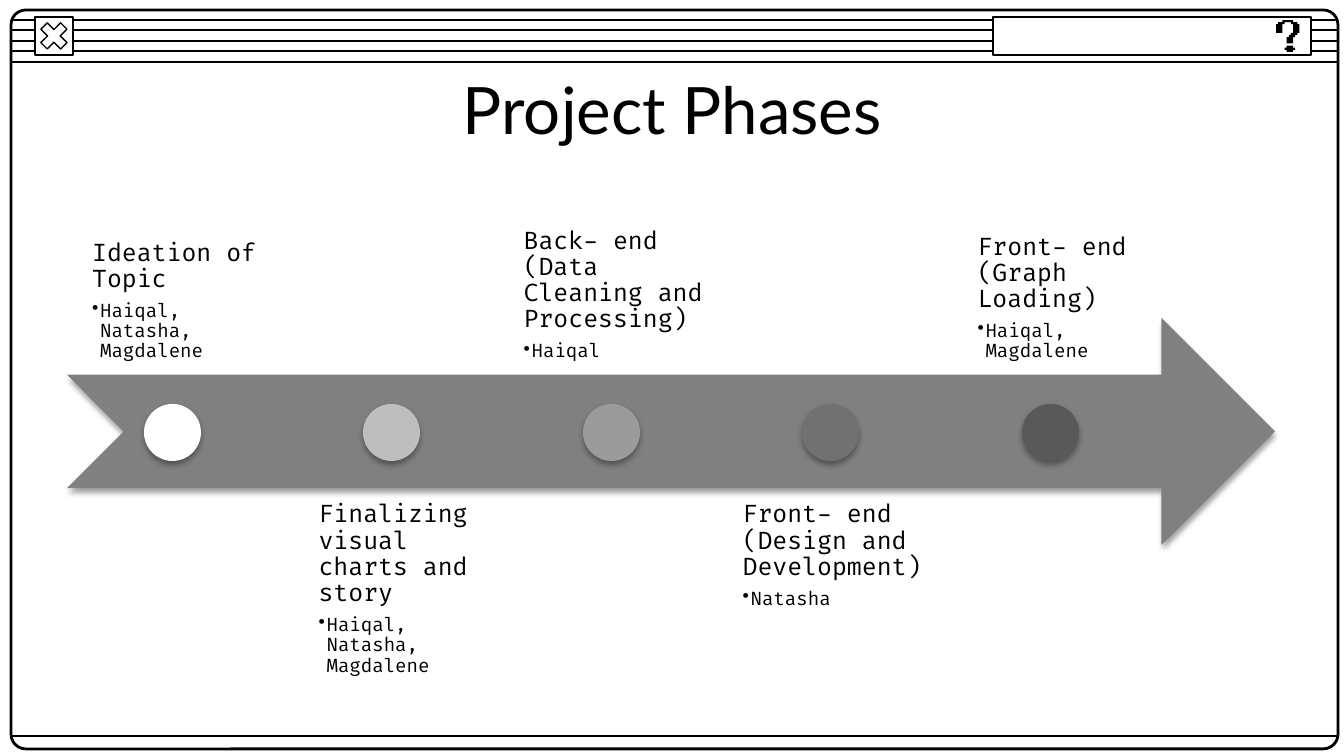
import pptx
import pptx.dml.color
import pptx.enum.shapes
import pptx.enum.text
import pptx.oxml
import pptx.oxml.ns
import pptx.util
from lxml import etree

RGB = pptx.dml.color.RGBColor
SHAPE = pptx.enum.shapes.MSO_SHAPE
ANCHOR = pptx.enum.text.MSO_ANCHOR
Pt = pptx.util.Pt
qn = pptx.oxml.ns.qn

BLACK = RGB(0x00, 0x00, 0x00)
WHITE = RGB(0xFF, 0xFF, 0xFF)
ARROW_GRAY = RGB(0x80, 0x80, 0x80)

TITLE = "Project Phases"
PHASES = [
    ("Ideation of Topic", "Haiqal, Natasha, Magdalene", WHITE),
    ("Finalizing visual charts and story", "Haiqal, Natasha, Magdalene", RGB(0xBE, 0xBE, 0xBE)),
    ("Back- end (Data Cleaning and Processing)", "Haiqal", RGB(0x9B, 0x9B, 0x9B)),
    ("Front- end (Design and Development)", "Natasha", RGB(0x71, 0x71, 0x71)),
    ("Front- end (Graph Loading)", "Haiqal, Magdalene", RGB(0x59, 0x59, 0x59)),
]
QUESTION_DOT = [(5, 12), (5, 13), (4, 13), (4, 14), (5, 14), (5, 15),
                (8, 15), (8, 14), (9, 14), (9, 13), (8, 13), (8, 12)]
QUESTION_HOOK = [(3, 0), (3, 1), (1, 1), (1, 2), (0, 2), (0, 6), (3, 6), (3, 2), (4, 2),
                 (4, 1), (7, 1), (7, 2), (8, 2), (8, 6), (7, 6), (7, 7), (6, 7), (6, 8),
                 (5, 8), (5, 11), (8, 11), (8, 8), (9, 8), (9, 7), (10, 7), (10, 6),
                 (11, 6), (11, 2), (10, 2), (10, 1), (8, 1), (8, 0)]
QUESTION_CELL = 2.13

WINDOW_LEFT, WINDOW_TOP, WINDOW_WIDTH, WINDOW_HEIGHT = 11, 10, 1327, 739
BAR_TOP, BAR_HEIGHT, BAR_LINES = 20, 42, 5
BAND_HEIGHT = 227
LABEL_ABOVE, LABEL_BELOW, LABEL_WIDTH = 148, 489, 210
LABEL_LEFT, DOT_LEFT, PHASE_SPAN = 69, 144, 878


def px(value):
    return pptx.util.Emu(round(value * 914400 / 134.4))


prs = pptx.Presentation()
prs.slide_width, prs.slide_height = px(1344), px(756)
slide = prs.slides.add_slide(prs.slide_layouts[6])
shapes = slide.shapes


def paint(shape, fill=None, line_width=None):
    shape.shadow.inherit = False
    if fill is None:
        shape.fill.background()
    else:
        shape.fill.solid()
        shape.fill.fore_color.rgb = fill
    if line_width is None:
        shape.line.fill.background()
    else:
        shape.line.color.rgb = BLACK
        shape.line.width = Pt(line_width)
    return shape


def add_shape(kind, left, top, width, height, fill=None, line_width=None):
    return paint(shapes.add_shape(kind, px(left), px(top), px(width), px(height)),
                 fill, line_width)


def add_rule(y):
    rule = shapes.add_connector(pptx.enum.shapes.MSO_CONNECTOR.STRAIGHT, px(WINDOW_LEFT),
                                px(y), px(WINDOW_LEFT + WINDOW_WIDTH), px(y))
    rule.line.color.rgb = BLACK
    rule.line.width = Pt(0.75)
    etree.SubElement(rule._element.spPr, qn("a:effectLst"))


def cast_shadow(shape, opacity, distance):
    effects = shape._element.spPr.find(qn("a:effectLst"))
    shadow = etree.SubElement(effects, qn("a:outerShdw"), blurRad=str(Pt(3.1)),
                              dist=str(Pt(distance)), dir="5400000", rotWithShape="0")
    color = etree.SubElement(shadow, qn("a:srgbClr"), val="000000")
    etree.SubElement(color, qn("a:alpha"), val=str(opacity * 1000))


def add_text(left, top, width, height, anchor):
    frame = shapes.add_textbox(px(left), px(top), px(width), px(height)).text_frame
    frame.word_wrap = True
    frame.vertical_anchor = anchor
    frame.margin_left = frame.margin_right = frame.margin_top = frame.margin_bottom = px(13)
    return frame


def write(paragraph, text, font, size):
    paragraph.text = text
    paragraph.font.name = font
    paragraph.font.size = Pt(size)
    paragraph.font.color.rgb = BLACK


def add_bullet(paragraph):
    paragraph.level = 1
    props = paragraph._p.get_or_add_pPr()
    props.set("marL", str(px(8)))
    props.set("indent", str(-px(8)))
    bullet = etree.Element(qn("a:buChar"), char="•")
    props.find(qn("a:defRPr")).addprevious(bullet)


def add_label(left, top, anchor, phase, people):
    frame = add_text(left, top, LABEL_WIDTH, BAND_HEIGHT, anchor)
    frame._txBody.bodyPr.set("anchorCtr", "1")
    heading, team = frame.paragraphs[0], frame.add_paragraph()
    for paragraph, text, size, gap in ((heading, phase, 13, 4.55), (team, people, 10, 1.5)):
        write(paragraph, text, "Fira Code", size)
        paragraph.line_spacing = 0.9
        paragraph.space_after = Pt(gap)
    add_bullet(team)


for index in range(BAR_LINES):
    add_rule(BAR_TOP + index * BAR_HEIGHT // (BAR_LINES - 1))
window = add_shape(SHAPE.ROUNDED_RECTANGLE, WINDOW_LEFT, WINDOW_TOP, WINDOW_WIDTH,
                   WINDOW_HEIGHT, line_width=1.5)
window.adjustments[0] = 0.02
add_shape(SHAPE.RECTANGLE, 35, 17, 38, 38, WHITE, 0.75)
close_mark = add_shape(SHAPE.MATH_MULTIPLY, 35, 17, 38, 38, WHITE, 0.75)
close_mark.adjustments[0] = 0.235
add_rule(736)
add_shape(SHAPE.RECTANGLE, 993, 17, 318, 38, WHITE, 0.75)
for outline in (QUESTION_DOT, QUESTION_HOOK):
    builder = shapes.build_freeform(*outline[0], scale=px(QUESTION_CELL))
    builder.add_line_segments(outline[1:], close=True)
    paint(builder.convert_to_shape(px(1276), px(20)), BLACK)

arrow = add_shape(SHAPE.NOTCHED_RIGHT_ARROW, 67, 318, 1208, BAND_HEIGHT, ARROW_GRAY)
cast_shadow(arrow, 38, 2)
for index, (phase, people, shade) in enumerate(PHASES):
    offset = index * PHASE_SPAN // (len(PHASES) - 1)
    top, anchor = ((LABEL_BELOW, ANCHOR.TOP) if index % 2 else (LABEL_ABOVE, ANCHOR.BOTTOM))
    add_label(LABEL_LEFT + offset, top, anchor, phase, people)
    dot = add_shape(SHAPE.OVAL, DOT_LEFT + offset, 404, 57, 57, shade)
    cast_shadow(dot, 35, 1.8)

title = add_text(106, 66, 1133, 85, ANCHOR.MIDDLE).paragraphs[0]
write(title, TITLE, "Lato", 35)
title.alignment = pptx.enum.text.PP_ALIGN.CENTER

prs.save("out.pptx")
